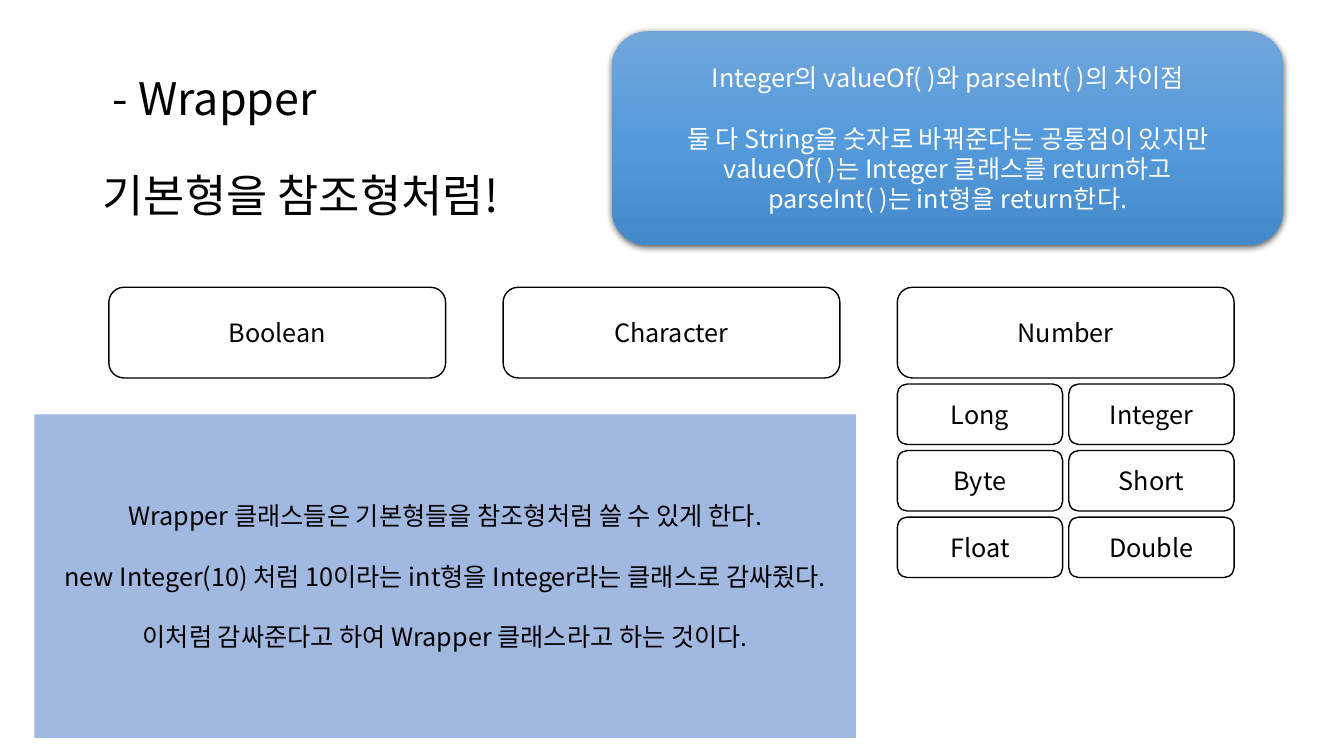
import copy
from dataclasses import dataclass

import pptx
import pptx.util
import pptx.dml.color
import pptx.enum.shapes
import pptx.enum.text
import pptx.oxml
import pptx.oxml.ns
from pptx.util import Inches

KIND = pptx.enum.shapes.MSO_SHAPE
ALIGN = pptx.enum.text.PP_ALIGN
ANCHOR = pptx.enum.text.MSO_ANCHOR


@dataclass(frozen=True)
class Theme:
    font: str = "Noto Sans CJK KR"
    head: int = 32
    body: int = 18
    ink: str = "000000"
    paper: str = "FFFFFF"
    panel: str = "4472C4"
    blues: tuple = ("71A6DB", "559BDB", "448ACA")


THEME = Theme()

TITLE = [["- Wrapper"], ["기본형을 참조형처럼!"]]
DIFF = [
    ["Integer의 valueOf( )와 parseInt( )의 차이점"],
    ["둘 다 String을 숫자로 바꿔준다는 공통점이 있지만",
     "valueOf( )는 Integer 클래스를 return하고",
     "parseInt( )는 int형을 return한다."],
]
NOTE = [
    ["Wrapper 클래스들은 기본형들을 참조형처럼 쓸 수 있게 한다."],
    ["new Integer(10) 처럼 10이라는 int형을 Integer라는 클래스로 감싸줬다."],
    ["이처럼 감싸준다고 하여 Wrapper 클래스라고 하는 것이다."],
]
TYPES = ["Boolean", "Character", "Number"]
NUMBERS = ["Long", "Integer", "Byte", "Short", "Float", "Double"]


def color(code):
    return pptx.dml.color.RGBColor.from_string(code)


def write(frame, blocks, size, ink, align, anchor, gap):
    """Fill a frame with blocks of lines, set apart by gap points."""
    frame.word_wrap = True
    frame.vertical_anchor = anchor
    frame.text = "\n".join(line for block in blocks for line in block)
    starts = [i == 0 for block in blocks for i in range(len(block))]
    for index, (para, start) in enumerate(zip(frame.paragraphs, starts)):
        para.alignment = align
        if start and index:
            para.space_before = pptx.util.Pt(gap)
        for run in para.runs:
            run.font.size = pptx.util.Pt(size)
            run.font.name = THEME.font
            run.font.color.rgb = color(ink)
            east = pptx.oxml.parse_xml(
                f'<a:ea {pptx.oxml.ns.nsdecls("a")} typeface="{THEME.font}"/>')
            run.font._element.find(pptx.oxml.ns.qn("a:latin")).addnext(east)


def add_title(slide):
    box = slide.shapes.add_textbox(
        Inches(0.92), Inches(0.5), Inches(10.78), Inches(1.75))
    write(box.text_frame, TITLE, THEME.head, THEME.ink,
          ALIGN.LEFT, ANCHOR.BOTTOM, 34.5)
    for para in box.text_frame.paragraphs:
        para.line_spacing = 0.9
    first = box.text_frame.paragraphs[0]._p.get_or_add_pPr()
    first.set("marL", str(Inches(0.1)))
    first.set("indent", "0")


def add_box(slide, kind, place, blocks, ink):
    shape = slide.shapes.add_shape(kind, *map(Inches, place))
    shape.shadow.inherit = False
    shape.line.fill.background()
    write(shape.text_frame, blocks, THEME.body, ink,
          ALIGN.CENTER, ANCHOR.MIDDLE, 21.5)
    return shape


def add_card(slide, place, label):
    card = add_box(slide, KIND.FLOWCHART_ALTERNATE_PROCESS, place,
                   [[label]], THEME.ink)
    card.fill.solid()
    card.fill.fore_color.rgb = color(THEME.paper)
    card.line.color.rgb = color(THEME.ink)
    card.line.width = pptx.util.Pt(1)


def add_banner(slide):
    banner = add_box(slide, KIND.FLOWCHART_ALTERNATE_PROCESS,
                     (6.07, 0.31, 6.66, 2.12), DIFF, THEME.paper)
    banner.fill.gradient()
    banner.fill.gradient_angle = 270
    props = banner._element.spPr
    stops = props.find(".//" + pptx.oxml.ns.qn("a:gsLst"))
    stops.insert(1, copy.deepcopy(stops[0]))
    for stop, code, pos in zip(banner.fill.gradient_stops, THEME.blues,
                               (0, 0.5, 1)):
        stop.color.rgb = color(code)
        stop.position = pos
    props.find(pptx.oxml.ns.qn("a:effectLst")).append(pptx.oxml.parse_xml(
        f'<a:outerShdw {pptx.oxml.ns.nsdecls("a")} '
        f'blurRad="{pptx.util.Pt(4.5)}" dist="{pptx.util.Pt(1.5)}" '
        'dir="5400000" algn="ctr" rotWithShape="0">'
        f'<a:srgbClr val="{THEME.ink}"><a:alpha val="63000"/></a:srgbClr>'
        '</a:outerShdw>'))


def add_panel(slide):
    panel = add_box(slide, KIND.RECTANGLE, (0.34, 4.11, 8.15, 3.21),
                    NOTE, THEME.ink)
    panel.fill.solid()
    panel.fill.fore_color.rgb = color(THEME.panel)
    tint = panel._element.spPr.find(
        pptx.oxml.ns.qn("a:solidFill") + "/" + pptx.oxml.ns.qn("a:srgbClr"))
    tint.append(pptx.oxml.parse_xml(
        f'<a:alpha {pptx.oxml.ns.nsdecls("a")} val="50000"/>'))


def main():
    deck = pptx.Presentation()
    deck.slide_width = Inches(13.33)
    deck.slide_height = Inches(7.5)
    slide = deck.slides.add_slide(deck.slide_layouts[6])
    add_title(slide)
    add_banner(slide)
    for col, label in enumerate(TYPES):
        add_card(slide, (1.08 + 3.91 * col, 2.85, 3.34, 0.9), label)
    for index, label in enumerate(NUMBERS):
        row, col = divmod(index, 2)
        add_card(slide, (8.9 + 1.7 * col, 3.81 + 0.66 * row, 1.64, 0.6), label)
    add_panel(slide)
    deck.save("out.pptx")


if __name__ == "__main__":
    main()
